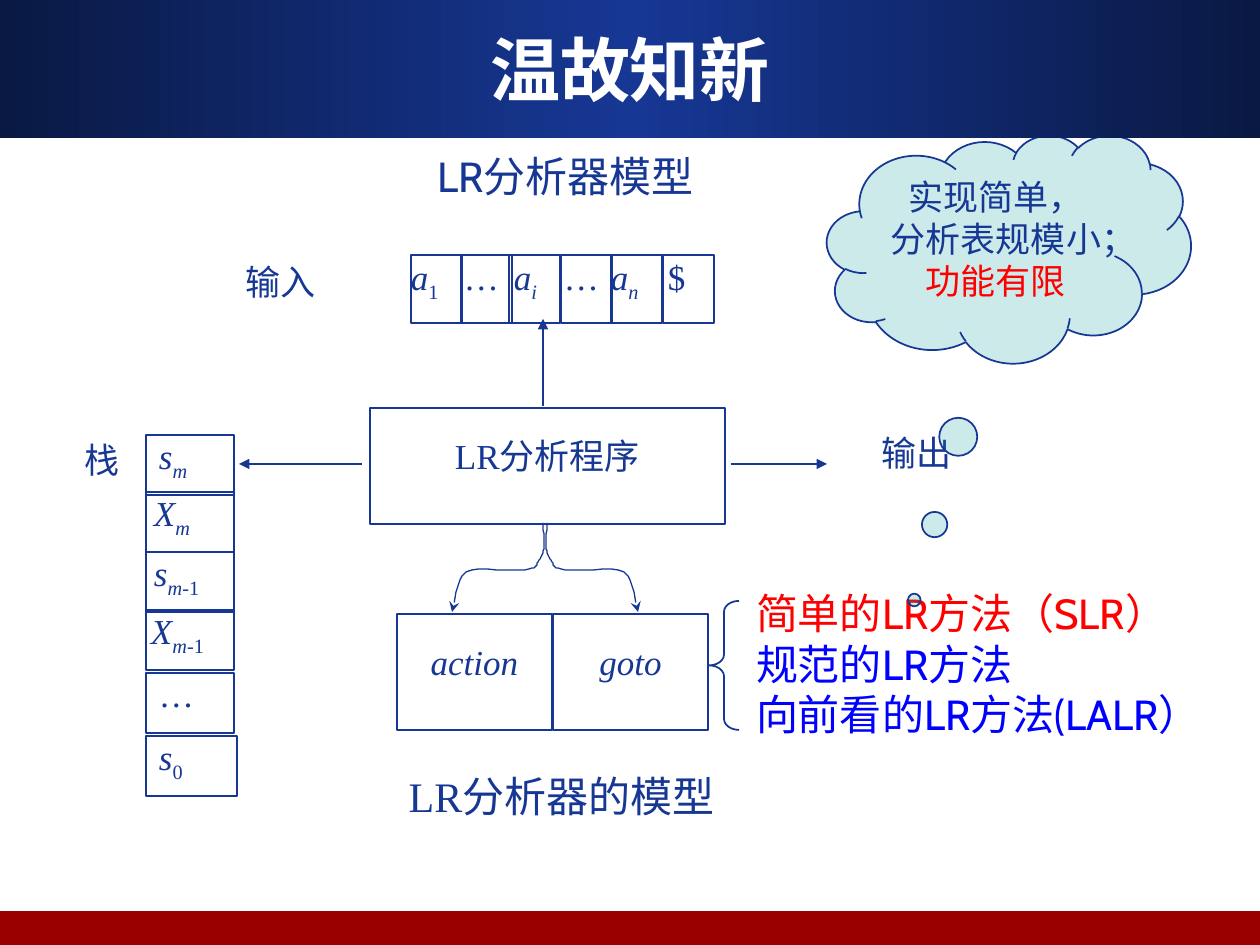
from pptx import Presentation
from pptx.dml.color import RGBColor
from pptx.enum.shapes import MSO_CONNECTOR, MSO_SHAPE
from pptx.enum.text import MSO_ANCHOR, PP_ALIGN
from pptx.oxml.ns import qn
from pptx.util import Pt
from copy import deepcopy
from lxml import etree

STRAIGHT = MSO_CONNECTOR.STRAIGHT
RECTANGLE, BRACE, CLOUD = MSO_SHAPE.RECTANGLE, MSO_SHAPE.LEFT_BRACE, MSO_SHAPE.CLOUD_CALLOUT
TOP, MIDDLE = MSO_ANCHOR.TOP, MSO_ANCHOR.MIDDLE
LEFT, CENTER, JUSTIFY = PP_ALIGN.LEFT, PP_ALIGN.CENTER, PP_ALIGN.JUSTIFY

NAVY = RGBColor(0x16, 0x37, 0x94)
DARK_NAVY = RGBColor(0x0A, 0x19, 0x44)
MAROON = RGBColor(0x99, 0x00, 0x00)
TEAL = RGBColor(0x00, 0x99, 0x99)
RED = RGBColor(0xFF, 0x00, 0x00)
BLUE = RGBColor(0x00, 0x00, 0xFF)
WHITE = RGBColor(0xFF, 0xFF, 0xFF)

SERIF, SANS, TITLE_FONT = "Times New Roman", "Cabin", "Noto Sans CJK SC"
PX = 914400 / 126


def px(*lengths):
    return [round(length * PX) for length in lengths]


def curve_points(start, controls, steps=8):
    for first, second, end in zip(*[iter(controls)] * 3):
        for step in range(1, steps + 1):
            t = step / steps
            weights = (1 - t) ** 3, 3 * t * (1 - t) ** 2, 3 * t * t * (1 - t), t ** 3
            corners = start, first, second, end
            yield tuple(sum(w * c[axis] for w, c in zip(weights, corners)) for axis in (0, 1))
        start = end


class Diagram:
    """Draws the elements of one slide in a shared style."""

    def __init__(self, presentation):
        self.slide = presentation.slides.add_slide(presentation.slide_layouts[5])
        self.shapes = self.slide.shapes

    def set_text(self, shape, paragraphs, size=20, font=SERIF, align=JUSTIFY,
                 insets=(13, 6, 13, 6), spacing=None, color=NAVY, anchor=TOP, bold=None):
        frame = shape.text_frame
        frame.word_wrap = True
        frame.vertical_anchor = anchor
        frame.margin_left, frame.margin_top, frame.margin_right, frame.margin_bottom = px(*insets)
        for index, runs in enumerate(paragraphs):
            paragraph = frame.add_paragraph() if index else frame.paragraphs[0]
            paragraph.alignment = align
            paragraph.line_spacing = spacing
            paragraph.font.size, paragraph.font.name = Pt(size), font
            paragraph.font.bold = bold
            paragraph.font.color.rgb = color
            for text, style, *run_color in runs:
                run = paragraph.add_run()
                run.text = text
                if "i" in style:
                    run.font.italic = True
                if "s" in style:
                    run.font._element.set("baseline", "-25000")
                if run_color:
                    run.font.color.rgb = run_color[0]

    def title(self, box, text):
        title = self.shapes.title
        title.left, title.top, title.width, title.height = px(*box)
        title.fill.gradient()
        title.fill.gradient_angle = 0
        first = title.fill.gradient_stops[0]._gs
        first.addnext(deepcopy(first))
        for stop, position, color in zip(title.fill.gradient_stops, (0, 0.5, 1),
                                         (DARK_NAVY, NAVY, DARK_NAVY)):
            stop.position, stop.color.rgb = position, color
        self.set_text(title, [[(text, "")]], 40, TITLE_FONT, CENTER,
                      color=WHITE, anchor=MIDDLE, bold=True)
        self.shapes._spTree.append(title._element)

    def label(self, box, paragraphs, **style):
        self.set_text(self.shapes.add_textbox(*px(*box)), paragraphs, **style)

    def shape(self, kind, box, fill=None, line=NAVY, width=0.75, adjustments=()):
        shape = self.shapes.add_shape(kind, *px(*box))
        shape.shadow.inherit = False
        for index, value in enumerate(adjustments):
            shape.adjustments[index] = value
        if fill is None:
            shape.fill.background()
        else:
            shape.fill.solid()
            shape.fill.fore_color.rgb = fill
        if line is None:
            shape.line.fill.background()
        else:
            shape.line.color.rgb, shape.line.width = line, Pt(width)
        return shape

    def box(self, box, runs, **style):
        self.set_text(self.shape(RECTANGLE, box), [runs], **style)

    def cloud(self, box, adjustments, paragraphs, opacity):
        cloud = self.shape(CLOUD, box, TEAL, width=1, adjustments=adjustments)
        color = cloud._element.spPr.find(qn("a:solidFill"))[0]
        etree.SubElement(color, qn("a:alpha"), val=str(opacity * 1000))
        self.set_text(cloud, paragraphs, font=SANS, align=CENTER)

    def finish_line(self, shape, head):
        shape.line.color.rgb, shape.line.width = NAVY, Pt(0.75)
        line = shape._element.spPr.find(qn("a:ln"))
        etree.SubElement(line, qn("a:tailEnd"), type=head)

    def arrow(self, *ends):
        connector = self.shapes.add_connector(STRAIGHT, *px(*ends))
        self.finish_line(connector, "triangle")
        etree.SubElement(connector._element.spPr, qn("a:effectLst"))

    def curve(self, start, controls):
        builder = self.shapes.build_freeform(*start, scale=PX)
        builder.add_line_segments(curve_points(start, controls), close=False)
        shape = builder.convert_to_shape()
        shape.shadow.inherit = False
        shape.fill.background()
        self.finish_line(shape, "stealth")


def main():
    presentation = Presentation()
    presentation.slide_width, presentation.slide_height = px(1260, 945)
    diagram = Diagram(presentation)
    diagram.shape(RECTANGLE, (0, 911, 1260, 34), MAROON, None)

    for left, top, text in ((233, 255, "输入"), (869, 426, "输出"), (72, 433, "栈")):
        diagram.label((left, top, 128, 76), [[(text, "")]])
    diagram.label((193, 765, 737, 82), [[("LR分析器的模型", "")]], size=24, align=CENTER)

    for box, text, style in (((370, 408, 355, 116), "LR分析程序", ""),
                             ((397, 614, 155, 116), "action", "i"),
                             ((553, 614, 155, 116), "goto", "i")):
        diagram.box(box, [(text, style)], align=CENTER, spacing=1.3, insets=(0, 14, 0, 6))

    for ends in ((543, 406, 543, 319), (731, 464, 827, 464), (362, 464, 239, 464)):
        diagram.arrow(*ends)

    dots = [("…", "")]
    stack = ((435, 88, 13, [("s", "i"), ("m", "is")]),
             (492, 88, 8, [("X", "i"), ("m", "is")]),
             (552, 88, 8, [("s", "i"), ("m", "is"), ("-1", "s")]),
             (610, 88, 5, [("X", "i"), ("m", "is"), ("-1", "s")]),
             (673, 88, 13, dots),
             (736, 91, 13, [("s", "i"), ("0", "s")]))
    for top, width, inset, runs in stack:
        diagram.box((146, top, width, 60), runs, insets=(inset, 0, 3, 5))

    tape = ((411, 0, [("a", "i"), ("1", "s")]),
            (461, 3, dots),
            (509, 5, [("a", "i"), ("i", "is")]),
            (561, 3, dots),
            (611, 0, [("a", "i"), ("n", "is")]),
            (663, 5, [("$", "")]))
    for left, inset, runs in tape:
        diagram.box((left, 255, 51, 68), runs, insets=(inset, 1, 2, 1))

    branch = [(543, 523), (543, 527), (544, 539), (544, 547), (543, 553), (542, 558),
              (538, 562), (536, 566), (537, 568), (525, 570), (513, 572), (479, 566),
              (466, 572), (455, 580), (456, 604), (452, 612)]
    mirrored = [(1090 - x, y) for x, y in branch]
    for start, *controls in (branch, mirrored):
        diagram.curve(start, controls)

    methods = [[("简单的LR方法（SLR）", "", RED)],
               [("规范的LR方法", "")],
               [("向前看的LR方法(LALR）", "")]]
    diagram.label((680, 582, 576, 165), methods, size=24, font=SANS, align=LEFT,
                  color=BLUE, insets=(76, 6, 13, 6))
    diagram.shape(BRACE, (709, 601, 30, 129), width=1, adjustments=(0.36, 0.5))
    diagram.label((263, 145, 605, 63), [[("LR分析器模型", "")]],
                  size=24, font=SANS, align=CENTER)
    diagram.cloud((827, 135, 364, 228), (-0.26, 1.54),
                  [[("实现简单，", "")], [("分析表规模小；", ""), ("功能有限", "", RED)]], 20)
    diagram.title((0, 0, 1260, 138), "温故知新")
    presentation.save("out.pptx")


if __name__ == "__main__":
    main()
